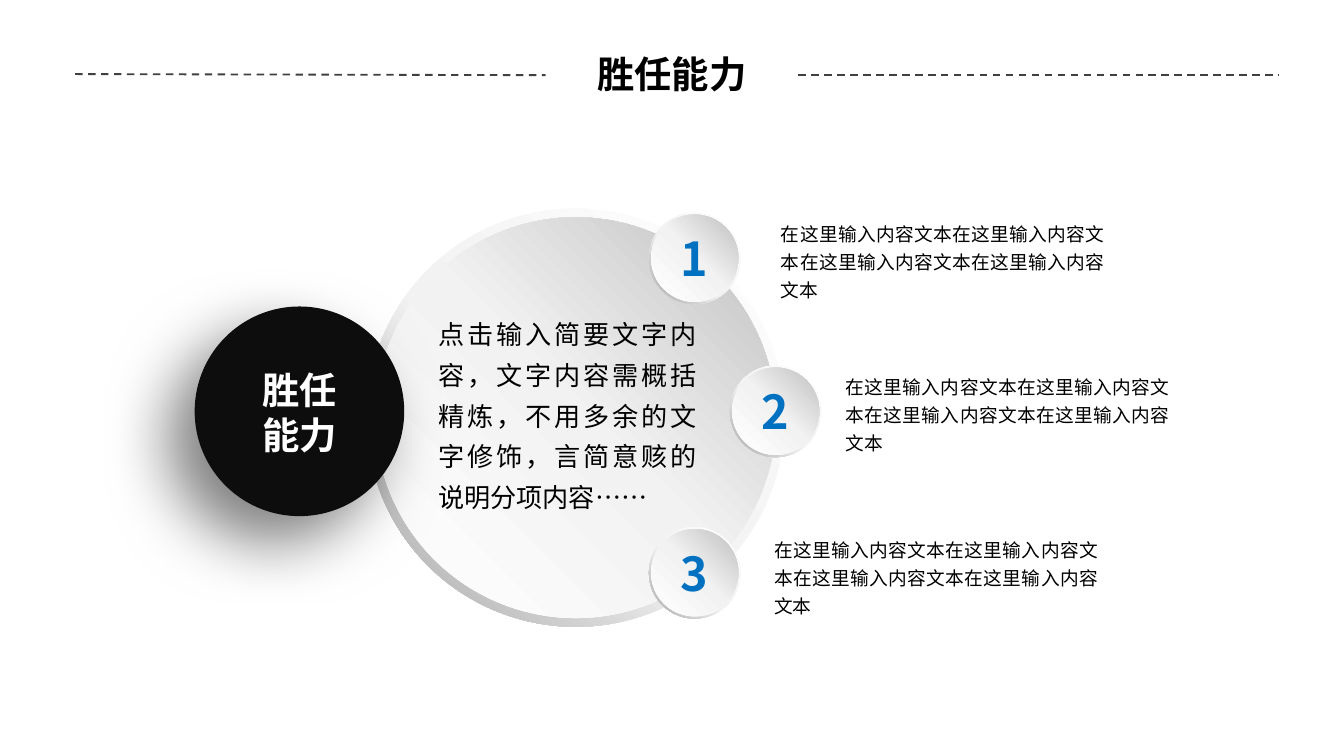
from copy import deepcopy

from lxml.etree import SubElement
from pptx import Presentation
from pptx.dml.color import RGBColor
from pptx.enum.dml import MSO_LINE
from pptx.enum.shapes import MSO_CONNECTOR, MSO_SHAPE
from pptx.enum.text import MSO_ANCHOR, MSO_AUTO_SIZE, PP_ALIGN
from pptx.oxml.ns import qn
from pptx.util import Cm, Pt

FONT = "Noto Sans CJK SC"
BLACK = RGBColor(0x00, 0x00, 0x00)
WHITE = RGBColor(0xFF, 0xFF, 0xFF)
INK = RGBColor(0x0D, 0x0D, 0x0D)
BLUE = RGBColor(0x00, 0x70, 0xC0)
RULE_GREY = RGBColor(0x40, 0x40, 0x40)
PALE = RGBColor(0xF2, 0xF2, 0xF2)
MID_GREY = RGBColor(0xBF, 0xBF, 0xBF)
RIM_GREY = RGBColor(0xA6, 0xA6, 0xA6)

# Content, with lengths in centimetres
TITLE = "胜任能力"
TOPIC = ["胜任", "能力"]
SUMMARY = "点击输入简要文字内容，文字内容需概括精炼，不用多余的文字修饰，言简意赅的说明分项内容……"
NOTE = "在这里输入内容文本" * 4
ITEMS = [  # number, disc centre, note corner, note
    ("1", (13.13, 4.88), (14.76, 4.11), NOTE),
    ("2", (14.66, 7.77), (15.98, 6.99), NOTE),
    ("3", (13.13, 10.82), (14.63, 10.08), NOTE),
]
TITLE_RULES = [(1.42, 1.40, 10.31, 1.42), (15.09, 1.42, 24.18, 1.42)]

# Formats
TITLE_FONT = {"size": Pt(20), "bold": True, "color": BLACK}
TOPIC_FONT = {"size": Pt(20), "bold": True, "color": WHITE}
NUMBER_FONT = {"size": Pt(25), "bold": True, "color": BLUE}
SUMMARY_FONT = {"size": Pt(14), "color": BLACK}
NOTE_FONT = {"size": Pt(10), "color": BLACK}
NO_INSETS = {"margin_left": 0, "margin_right": 0, "margin_top": 0, "margin_bottom": 0}
RIM = {"stops": [(0, WHITE), (0.55, PALE), (1, RIM_GREY)], "angle": 225}
FACE = {"stops": [(0, WHITE), (0.51, PALE), (1, MID_GREY)], "angle": 45}


def write(frame, lines, font, align, spacing=None, **frame_format):
    for name, value in {**NO_INSETS, "word_wrap": True, **frame_format}.items():
        setattr(frame, name, value)
    for index, line in enumerate(lines):
        paragraph = frame.add_paragraph() if index else frame.paragraphs[0]
        paragraph.alignment = align
        paragraph.line_spacing = spacing
        run = paragraph.add_run()
        run.text = line
        for name, value in {"name": FONT, **font}.items():
            if name == "color":
                run.font.color.rgb = value
            else:
                setattr(run.font, name, value)
        SubElement(run.font._element, qn("a:ea"), typeface=FONT)


def add_text(box, lines, font, align, **formats):
    label = slide.shapes.add_textbox(*map(Cm, box))
    write(label.text_frame, lines, font, align,
          auto_size=MSO_AUTO_SIZE.SHAPE_TO_FIT_TEXT, **formats)


def add_round(shapes, kind, centre, diameter):
    corner = [Cm(c - diameter / 2) for c in centre]
    round_shape = shapes.add_shape(kind, *corner, Cm(diameter), Cm(diameter))
    round_shape.shadow.inherit = False
    round_shape.line.fill.background()
    return round_shape


def shade(shape, stops, angle):
    shape.fill.gradient()
    shape.fill.gradient_angle = angle
    stop_list = shape._element.spPr.find(".//" + qn("a:gsLst"))
    stop_list.append(deepcopy(stop_list[0]))
    for stop, (position, color) in zip(shape.fill.gradient_stops, stops):
        stop.position = position
        stop.color.rgb = color


def add_disc(centre, diameter, face_diameter):
    disc = slide.shapes.add_group_shape()
    rim = add_round(disc.shapes, MSO_SHAPE.DONUT, centre, diameter)
    rim.adjustments[0] = 0.049
    shade(rim, **RIM)
    face = add_round(disc.shapes, MSO_SHAPE.OVAL, centre, face_diameter)
    shade(face, **FACE)
    return face


prs = Presentation()
prs.slide_width, prs.slide_height = Cm(25.4), Cm(14.28)
slide = prs.slides.add_slide(prs.slide_layouts[5])

# Title between dashed rules
for x1, y1, x2, y2 in TITLE_RULES:
    rule = slide.shapes.add_connector(MSO_CONNECTOR.STRAIGHT, Cm(x1), Cm(y1), Cm(x2), Cm(y2))
    rule.line.color.rgb = RULE_GREY
    rule.line.width = Pt(1)
    rule.line.dash_style = MSO_LINE.DASH
    SubElement(rule._element.spPr, qn("a:effectLst"))

title = slide.shapes.title
title.left, title.top, title.width, title.height = map(Cm, (1.27, 1.04, 22.86, 0.71))
write(title.text_frame, [TITLE], TITLE_FONT, PP_ALIGN.CENTER,
      vertical_anchor=MSO_ANCHOR.MIDDLE, auto_size=MSO_AUTO_SIZE.NONE)

# Large disc, then numbered discs and their notes
add_disc((10.88, 7.89), 7.9, 7.57)
for number, centre, (left, top), note in ITEMS:
    face = add_disc(centre, 1.73, 1.65)
    write(face.text_frame, [number], NUMBER_FONT, PP_ALIGN.CENTER,
          vertical_anchor=MSO_ANCHOR.MIDDLE)
    add_text((left, top, 6.12, 1.6), [note], NOTE_FONT, PP_ALIGN.JUSTIFY, spacing=Pt(15))
add_text((8.28, 5.84, 4.88, 3.81), [SUMMARY], SUMMARY_FONT, PP_ALIGN.JUSTIFY, spacing=1.3)

# Dark topic circle with a soft shadow
topic = add_round(slide.shapes, MSO_SHAPE.OVAL, (5.66, 7.77), 3.96)
topic.fill.solid()
topic.fill.fore_color.rgb = INK
effects = topic._element.spPr.find(qn("a:effectLst"))
shadow = SubElement(effects, qn("a:outerShdw"), blurRad=str(Pt(35)), dist=str(Pt(20)),
                    dir=str(135 * 60000), algn="tr", rotWithShape="0")
shadow_color = SubElement(shadow, qn("a:srgbClr"), val=str(BLACK))
SubElement(shadow_color, qn("a:alpha"), val="50000")
add_text((4.95, 6.93, 1.42, 1.7), TOPIC, TOPIC_FONT, PP_ALIGN.CENTER, word_wrap=False)

prs.save("out.pptx")
